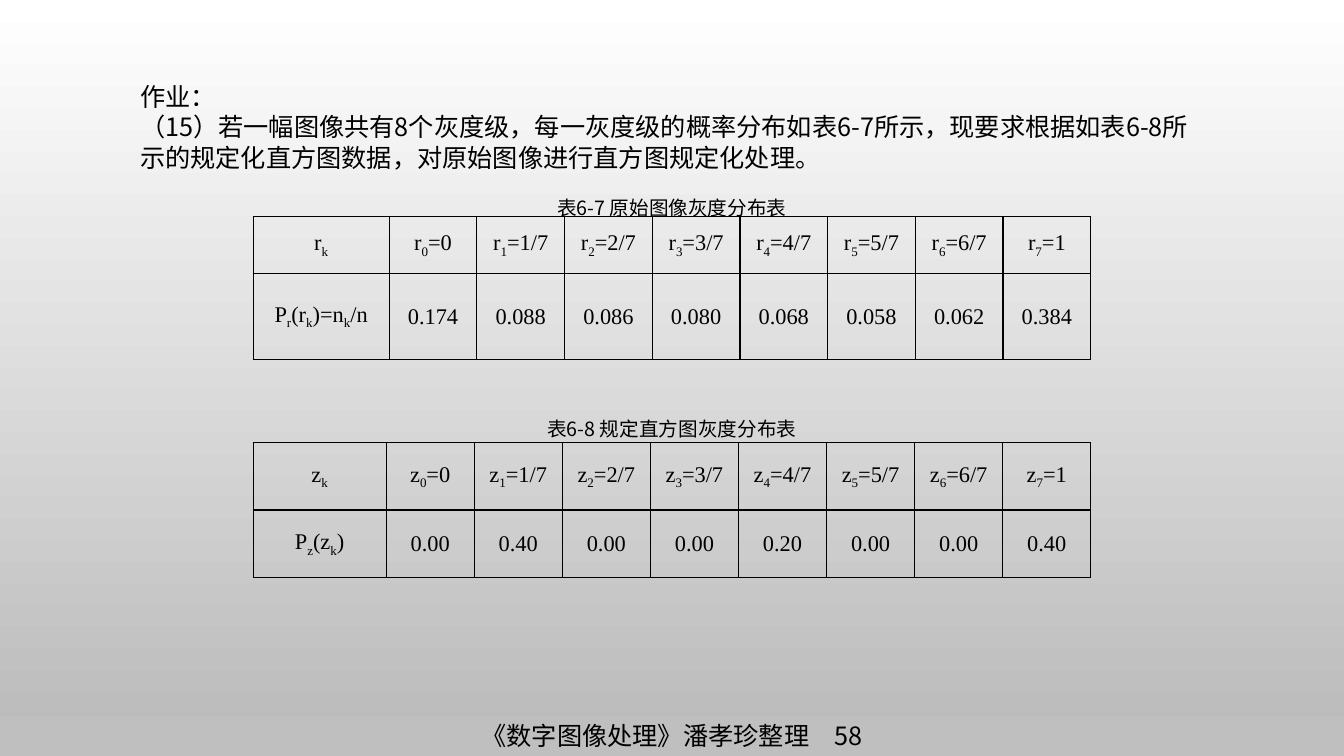
from lxml import etree
from pptx import Presentation
from pptx.dml.color import RGBColor
from pptx.enum.shapes import MSO_SHAPE
from pptx.enum.text import MSO_ANCHOR, PP_ALIGN
from pptx.oxml.ns import qn
from pptx.util import Inches, Pt

RECTANGLE = MSO_SHAPE.RECTANGLE
MIDDLE = MSO_ANCHOR.MIDDLE
CENTER = PP_ALIGN.CENTER
LEFT = PP_ALIGN.LEFT

BLACK = RGBColor(0x00, 0x00, 0x00)
WHITE = RGBColor(0xFF, 0xFF, 0xFF)
GRAY = RGBColor(0xB9, 0xB9, 0xB9)
FOOTER_GRAY = RGBColor(0xBF, 0xBF, 0xBF)

CHINESE_FONT = "Noto Sans CJK SC"
FORMULA_FONT = "Times New Roman"
SLIDE_WIDTH = Inches(13.33)
SLIDE_HEIGHT = Inches(7.5)
TABLE_LEFT = 18.83
TABLE_WIDTH = 62.34
LEVELS = ["0"] + [f"{level}/7" for level in range(1, 7)] + ["1"]

HOMEWORK = [
    "作业：",
    "（15）若一幅图像共有8个灰度级，每一灰度级的概率分布如表6-7所示，"
    "现要求根据如表6-8所示的规定化直方图数据，对原始图像进行直方图规定化处理。",
]
ORIGINAL_VALUES = ["0.174", "0.088", "0.086", "0.080", "0.068", "0.058", "0.062", "0.384"]
SPECIFIED_VALUES = ["0.00", "0.40", "0.00", "0.00", "0.20", "0.00", "0.00", "0.40"]


def across(percent):
    """Return a percentage of the slide's width."""
    return round(SLIDE_WIDTH * percent / 100)


def down(percent):
    """Return a percentage of the slide's height."""
    return round(SLIDE_HEIGHT * percent / 100)


def write_paragraph(paragraph, text, size, font_name, alignment):
    """Write text in which an underscore lowers the next character."""
    paragraph.alignment = alignment
    paragraph.font.size = Pt(size)
    paragraph.font.name = font_name
    paragraph.font.color.rgb = BLACK
    properties = paragraph._p.pPr.find(qn("a:defRPr"))
    etree.SubElement(properties, qn("a:ea")).set("typeface", font_name)
    base, *lowered = text.split("_")
    if base:
        paragraph.add_run().text = base
    for part in lowered:
        subscript = paragraph.add_run()
        subscript.text = part[0]
        subscript.font._element.set("baseline", "-25000")
        if part[1:]:
            paragraph.add_run().text = part[1:]


def set_borders(cell, visible_sides):
    """Draw black borders on the given sides of a cell and none elsewhere."""
    properties = cell._tc.get_or_add_tcPr()
    for index, side in enumerate("LRTB"):
        line = etree.Element(qn(f"a:ln{side}"), w=str(Pt(1)))
        if side in visible_sides:
            fill = etree.SubElement(line, qn("a:solidFill"))
            etree.SubElement(fill, qn("a:srgbClr")).set("val", str(BLACK))
        else:
            etree.SubElement(line, qn("a:noFill"))
        properties.insert(index, line)


def fill_cell(cell, text, size, font_name, visible_sides):
    """Format one transparent table cell and write its centred text."""
    cell.fill.background()
    cell.vertical_anchor = MIDDLE
    cell.margin_left = cell.margin_right = Inches(0.07)
    cell.margin_top = cell.margin_bottom = 0
    write_paragraph(cell.text_frame.paragraphs[0], text, size, font_name, CENTER)
    set_borders(cell, visible_sides)


def add_distribution_table(slide, top, label_width, row_heights, caption, rows):
    """Add a table with a caption row above its bordered grid."""
    column_count = len(rows[0])
    table = slide.shapes.add_table(
        len(row_heights), column_count, across(TABLE_LEFT), down(top),
        across(TABLE_WIDTH), down(sum(row_heights)),
    ).table
    table.first_row = table.horz_banding = False
    value_width = (TABLE_WIDTH - label_width) / (column_count - 1)
    for index, column in enumerate(table.columns):
        column.width = across(value_width if index else label_width)
    for row, height in zip(table.rows, row_heights):
        row.height = down(height)
    for index in range(column_count):
        fill_cell(table.cell(0, index), "" if index else caption, 14, CHINESE_FONT, "B")
    table.cell(0, 0).merge(table.cell(0, column_count - 1))
    for row_index, texts in enumerate(rows, start=1):
        for column_index, text in enumerate(texts):
            fill_cell(table.cell(row_index, column_index), text, 16, FORMULA_FONT, "LRTB")


def level_row(symbol):
    """Return the header row of gray levels for a symbol."""
    return [f"{symbol}_k"] + [f"{symbol}_{index}={level}" for index, level in enumerate(LEVELS)]


def add_homework(slide):
    """Add the homework text."""
    box = slide.shapes.add_textbox(across(9.68), down(10.13), across(80.65), down(13.47))
    frame = box.text_frame
    frame.word_wrap = True
    for index, text in enumerate(HOMEWORK):
        paragraph = frame.add_paragraph() if index else frame.paragraphs[0]
        write_paragraph(paragraph, text, 18, CHINESE_FONT, LEFT)


def add_footer(slide):
    """Add the footer band with the page number."""
    band = slide.shapes.add_shape(RECTANGLE, 0, down(94.67), SLIDE_WIDTH, down(5.33))
    band.shadow.inherit = False
    band.fill.solid()
    band.fill.fore_color.rgb = FOOTER_GRAY
    band.line.fill.background()
    band.text_frame.vertical_anchor = MIDDLE
    write_paragraph(
        band.text_frame.paragraphs[0], "《数字图像处理》潘孝珍整理　58", 18, CHINESE_FONT, CENTER
    )


def set_background(slide):
    """Fill the background from white at the top to gray at the bottom."""
    fill = slide.background.fill
    fill.gradient()
    fill.gradient_angle = 270
    for stop, color in zip(fill.gradient_stops, (WHITE, GRAY)):
        stop.color.rgb = color


def main():
    """Build and save the slide."""
    presentation = Presentation()
    presentation.slide_width = SLIDE_WIDTH
    presentation.slide_height = SLIDE_HEIGHT
    slide = presentation.slides.add_slide(presentation.slide_layouts.get_by_name("Blank"))
    set_background(slide)
    add_footer(slide)
    add_homework(slide)
    add_distribution_table(
        slide, 25.47, 10.13, (3.2, 7.47, 11.47), "表6-7 原始图像灰度分布表",
        [level_row("r"), ["P_r(r_k)=n_k/n"] + ORIGINAL_VALUES],
    )
    add_distribution_table(
        slide, 54.67, 9.9, (3.87, 8.93, 8.93), "表6-8 规定直方图灰度分布表",
        [level_row("z"), ["P_z(z_k)"] + SPECIFIED_VALUES],
    )
    presentation.save("out.pptx")


if __name__ == "__main__":
    main()
